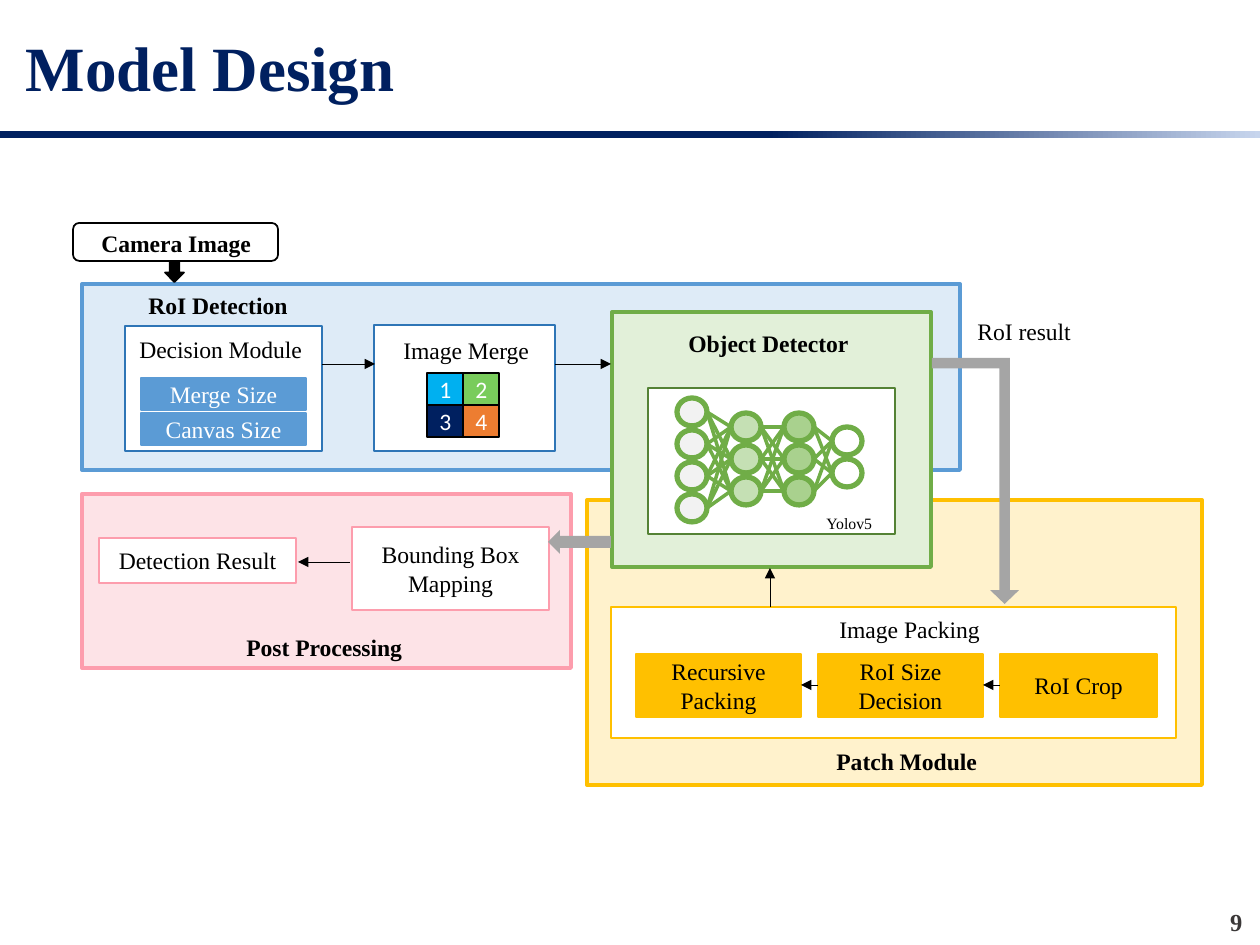
from itertools import product

from lxml import etree
from pptx import Presentation
from pptx.dml.color import RGBColor
from pptx.enum.shapes import MSO_CONNECTOR, MSO_SHAPE
from pptx.enum.text import MSO_ANCHOR, MSO_AUTO_SIZE, PP_ALIGN
from pptx.oxml.ns import qn
from pptx.util import Inches, Pt

RECT, ROUND, OVAL = MSO_SHAPE.RECTANGLE, MSO_SHAPE.ROUNDED_RECTANGLE, MSO_SHAPE.OVAL
DOWN, LEFT, BENT = MSO_SHAPE.DOWN_ARROW, MSO_SHAPE.LEFT_ARROW, MSO_SHAPE.BENT_UP_ARROW
STRAIGHT = MSO_CONNECTOR.STRAIGHT
MIDDLE = MSO_ANCHOR.MIDDLE
FIT, FIXED = MSO_AUTO_SIZE.SHAPE_TO_FIT_TEXT, MSO_AUTO_SIZE.NONE
AT_LEFT, CENTER, AT_RIGHT = PP_ALIGN.LEFT, PP_ALIGN.CENTER, PP_ALIGN.RIGHT

BLACK = RGBColor(0x00, 0x00, 0x00)
WHITE = RGBColor(0xFF, 0xFF, 0xFF)
NAVY = RGBColor(0x00, 0x20, 0x60)
MIST = RGBColor(0xC7, 0xD5, 0xED)
BLUE = RGBColor(0x5B, 0x9B, 0xD5)
DEEP_BLUE = RGBColor(0x2E, 0x75, 0xB6)
PALE_BLUE = RGBColor(0xDE, 0xEB, 0xF7)
SKY = RGBColor(0x00, 0xB0, 0xF0)
GREEN = RGBColor(0x70, 0xAD, 0x47)
DEEP_GREEN = RGBColor(0x54, 0x82, 0x35)
PALE_GREEN = RGBColor(0xE2, 0xF0, 0xD9)
SOFT_GREEN = RGBColor(0xC5, 0xE0, 0xB4)
LEAF = RGBColor(0xA9, 0xD1, 0x8E)
LIME = RGBColor(0x79, 0xCC, 0x5C)
PINK = RGBColor(0xFD, 0x9D, 0xAD)
PALE_PINK = RGBColor(0xFD, 0xE3, 0xE7)
GOLD = RGBColor(0xFF, 0xC0, 0x00)
PALE_GOLD = RGBColor(0xFF, 0xF2, 0xCC)
ORANGE = RGBColor(0xED, 0x7D, 0x31)
GRAY = RGBColor(0xA5, 0xA5, 0xA5)
PALE_GRAY = RGBColor(0xF2, 0xF2, 0xF2)
CHAR = RGBColor(0x3B, 0x38, 0x38)

SERIF, SANS = "Times New Roman", "Calibri"


def emu(*px):
    """Turn px, 126 to the inch, into EMU."""
    return [round(n * Inches(1) / 126) for n in px]


def write(shape, text, size=13.5, color=BLACK, bold=False, font=SERIF, align=CENTER):
    para = shape.text_frame.paragraphs[0]
    para.alignment = align
    run = para.add_run()
    run.text = text
    face = run.font
    face.size, face.bold, face.name = Pt(size), bold, font
    face.color.rgb = color


class Pen:
    def __init__(self, slide):
        self.slide = slide
        self.shapes = slide.shapes

    def title(self, text, *place):
        head = self.shapes.title
        head.left, head.top, head.width, head.height = emu(*place)
        head.text_frame.auto_size = FIXED
        head.text_frame.vertical_anchor = MIDDLE
        write(head, text, size=36, color=NAVY, bold=True, align=AT_LEFT)

    def box(self, *place, fill=None, line=None, width=1.5, kind=RECT, text="", **style):
        shape = self.shapes.add_shape(kind, *emu(*place))
        shape.shadow.inherit = False
        if fill is None:
            shape.fill.background()
        else:
            shape.fill.solid()
            shape.fill.fore_color.rgb = fill
        if line is None:
            shape.line.fill.background()
        else:
            shape.line.color.rgb = line
            shape.line.width = Pt(width)
        if text:
            shape.text_frame.vertical_anchor = MIDDLE
            write(shape, text, **style)
        return shape

    def label(self, text, *place, **style):
        shape = self.shapes.add_textbox(*emu(*place))
        shape.text_frame.word_wrap = False
        shape.text_frame.auto_size = FIT
        write(shape, text, **{"align": AT_LEFT, **style})

    def line(self, *ends, color=BLACK, width=0.5, head=True):
        link = self.shapes.add_connector(STRAIGHT, *emu(*ends))
        link.line.color.rgb = color
        link.line.width = Pt(width)
        if head:
            tip = etree.SubElement(link.line._get_or_add_ln(), qn("a:tailEnd"))
            tip.set("type", "triangle")
        etree.SubElement(link._element.spPr, qn("a:effectLst"))

    def fade(self, *place):
        """Draw the rule under the title, fading to the right."""
        fill = self.box(*place, fill=NAVY).fill
        fill.gradient()
        fill.gradient_angle = 0
        for stop, color, spot in zip(fill.gradient_stops, (NAVY, MIST), (0.61, 1)):
            stop.color.rgb, stop.position = color, spot

    def net(self, layers, wide=30, high=28, pitch=32):
        """Draw layers of (left, top, count, fill), each joined to the next."""
        for here, there in zip(layers, layers[1:]):
            for i, j in product(range(here[2]), range(there[2])):
                self.line(here[0] + wide, here[1] + i * pitch + high // 2,
                          there[0], there[1] + j * pitch + high // 2,
                          color=GREEN, width=2, head=False)
        for left, top, count, fill in layers:
            for i in range(count):
                self.box(left, top + i * pitch, wide, high, fill=fill,
                         line=GREEN, width=3, kind=OVAL)


def main():
    deck = Presentation()
    deck.slide_width, deck.slide_height = Inches(10), Inches(7.5)
    pen = Pen(deck.slides.add_slide(deck.slide_layouts[5]))

    pen.title("Model Design", 13, 16, 1197, 101)
    pen.fade(0, 131, 1260, 7)

    # Panels behind the stages
    pen.box(82, 494, 489, 174, fill=PALE_PINK, line=PINK, width=2.25)
    pen.box(587, 500, 615, 285, fill=PALE_GOLD, line=GOLD, width=2.25)
    pen.box(82, 284, 878, 186, fill=PALE_BLUE, line=BLUE, width=2.25)

    # Camera input
    pen.box(73, 223, 205, 38, line=BLACK, width=1, kind=ROUND)
    pen.label("Camera Image", 89, 223, 178, 42, bold=True)
    pen.box(165, 262, 19, 20, fill=BLACK, line=BLACK, width=1, kind=DOWN)

    # RoI detection
    pen.label("RoI Detection", 136, 285, 166, 42, bold=True)
    pen.box(125, 326, 197, 125, fill=WHITE, line=DEEP_BLUE)
    pen.label("Decision Module", 127, 329, 188, 42)
    for i, text in enumerate(("Merge Size", "Canvas Size")):
        pen.box(141, 378 + 35 * i, 165, 32, fill=BLUE, line=BLUE, text=text, color=WHITE)
    pen.box(374, 325, 181, 126, fill=WHITE, line=DEEP_BLUE)
    pen.label("Image Merge", 391, 330, 153, 42)
    for i, fill in enumerate((SKY, LIME, NAVY, ORANGE)):
        row, col = divmod(i, 2)
        pen.box(427 + 36 * col, 373 + 32 * row, 36, 32, fill=fill, line=BLACK,
                width=1, text=str(i + 1), color=WHITE, font=SANS)

    # Object detector
    pen.box(612, 312, 319, 255, fill=PALE_GREEN, line=GREEN, width=2.25)
    pen.label("Object Detector", 676, 323, 193, 42, bold=True)
    pen.box(648, 388, 247, 146, fill=WHITE, line=DEEP_GREEN)
    pen.net([(677, 398, 4, PALE_GRAY), (731, 413, 3, SOFT_GREEN),
             (784, 413, 3, LEAF), (832, 427, 2, None)])
    pen.label("Yolov5", 814, 508, 71, 32, size=9)

    # Patch module
    pen.label("Patch Module", 824, 741, 168, 42, bold=True)
    pen.box(611, 607, 565, 131, fill=WHITE, line=GOLD)
    pen.label("Image Packing", 827, 609, 168, 42)
    for left, wide, text in ((636, 165, "Recursive Packing"),
                             (818, 165, "RoI Size Decision"),
                             (1000, 157, "RoI Crop")):
        pen.box(left, 654, wide, 63, fill=GOLD, line=GOLD, text=text)

    # Post processing
    pen.box(352, 527, 197, 83, fill=WHITE, line=PINK, text="Bounding Box Mapping")
    pen.box(99, 538, 197, 45, fill=WHITE, line=PINK, text="Detection Result")
    pen.label("Post Processing", 234, 627, 184, 42, bold=True)

    # Flow between stages
    for ends in ((322, 364, 375, 364), (555, 364, 611, 364), (770, 607, 770, 568),
                 (350, 562, 298, 562), (1000, 685, 983, 685), (818, 685, 801, 685)):
        pen.line(*ends)
    pen.label("RoI result", 965, 311, 120, 42)
    bend = pen.box(932, 358, 87, 246, fill=GRAY, kind=BENT)
    for i, ratio in enumerate((0.12, 0.165, 0.159)):
        bend.adjustments[i] = ratio
    bend._element.spPr.get_or_add_xfrm().set("flipV", "1")
    pen.box(548, 530, 63, 24, fill=GRAY, kind=LEFT)

    pen.label("9", 1217, 901, 38, 38, size=14, color=CHAR, bold=True, align=AT_RIGHT)
    deck.save("out.pptx")


if __name__ == "__main__":
    main()
